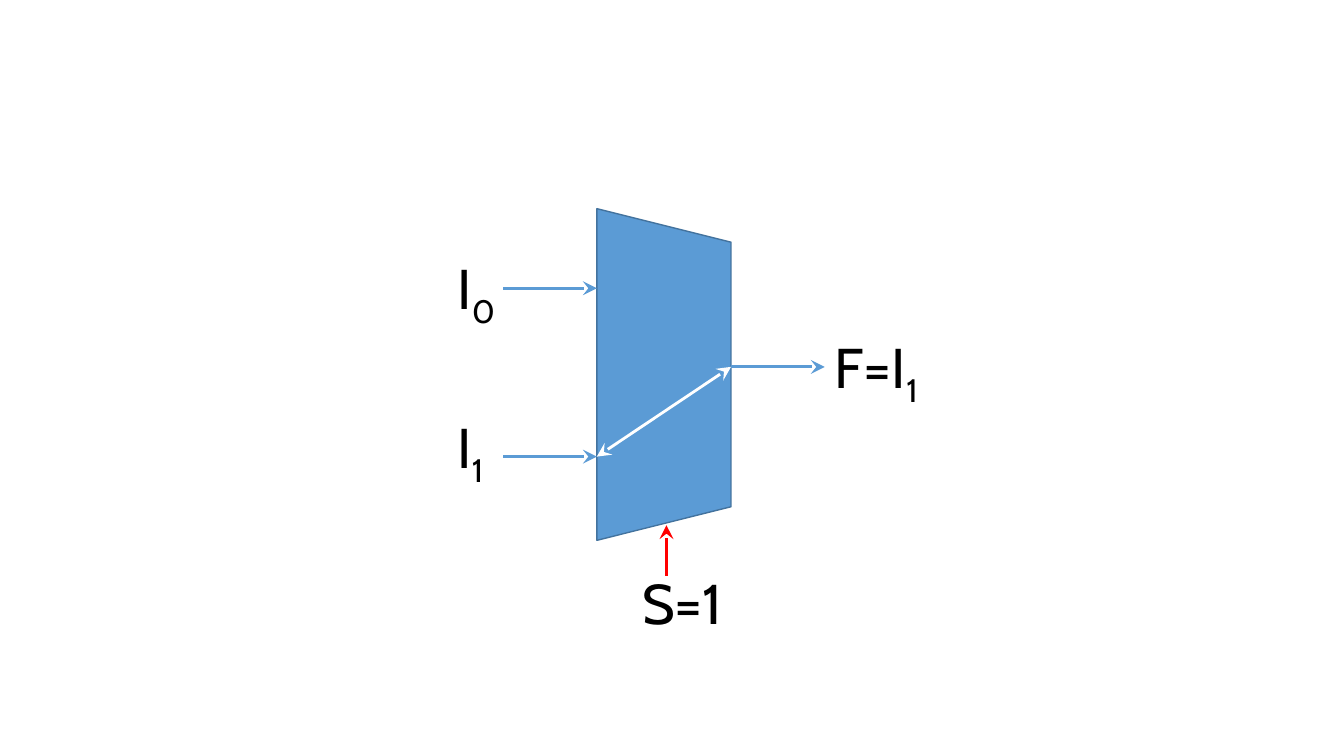
"""Draw a two-input multiplexer that passes input one."""
from dataclasses import dataclass

from lxml.etree import SubElement
from pptx import Presentation
from pptx.dml.color import RGBColor
from pptx.enum.shapes import MSO_CONNECTOR, MSO_SHAPE
from pptx.oxml.ns import qn
from pptx.util import Inches, Pt


@dataclass(frozen=True)
class Theme:
    """Colours, type and line sizes."""
    blue: RGBColor = RGBColor(0x5B, 0x9B, 0xD5)
    edge: RGBColor = RGBColor(0x43, 0x73, 0x9E)
    red: RGBColor = RGBColor(0xFF, 0x00, 0x00)
    white: RGBColor = RGBColor(0xFF, 0xFF, 0xFF)
    black: RGBColor = RGBColor(0x00, 0x00, 0x00)
    font: str = "Cabin"
    size: int = 40
    thin: int = 1
    thick: int = 2


THEME = Theme()


def style(item, values):
    """Set each attribute of the item from a dict."""
    for name, value in values.items():
        setattr(item, name, value)


def add_body(slide, left, top, width, height):
    """Add the multiplexer as a trapezoid turned to the right."""
    body = slide.shapes.add_shape(
        MSO_SHAPE.TRAPEZOID, *map(Inches, (left, top, width, height)))
    body.rotation = 90
    body.shadow.inherit = False
    body.fill.solid()
    body.fill.fore_color.rgb = THEME.blue
    body.line.color.rgb = THEME.edge
    body.line.width = Pt(THEME.thin)


def add_arrow(slide, start, end, color, ends=("tailEnd",)):
    """Add a straight arrow with large stealth heads at the given ends."""
    arrow = slide.shapes.add_connector(
        MSO_CONNECTOR.STRAIGHT, *map(Inches, (*start, *end)))
    arrow.line.color.rgb = color
    arrow.line.width = Pt(THEME.thick)
    line = arrow.line._get_or_add_ln()
    for tag in ends:
        SubElement(line, qn(f"a:{tag}"), type="stealth", w="lg", len="lg")
    SubElement(arrow._element.spPr, qn("a:effectLst"))


def add_label(slide, left, top, width, text, sub=""):
    """Add a signal name with an optional subscript on one line."""
    box = slide.shapes.add_textbox(
        *map(Inches, (left, top, width, 0.77)))
    style(box.text_frame, {"word_wrap": True, "margin_right": Inches(0)})
    para = box.text_frame.paragraphs[0]
    for part, base in ((text, 0), (sub, -25000)):
        if part:
            run = para.add_run()
            run.text = part
            style(run.font, {"name": THEME.font, "size": Pt(THEME.size)})
            run.font.color.rgb = THEME.black
            if base:
                run.font._element.set("baseline", str(base))


def main():
    """Build and save the slide."""
    deck = Presentation()
    style(deck, {"slide_width": Inches(13.33), "slide_height": Inches(7.5)})
    slide = deck.slides.add_slide(deck.slide_layouts[6])
    left, right, out, low = 5.92, 7.25, 3.64, 4.53

    add_body(slide, 4.94, 3.05, 3.29, 1.33)
    for sub, row, top in (("0", 2.86, 2.47), ("1", low, 4.04)):
        add_arrow(slide, (4.99, row), (left, row), THEME.blue)
        add_label(slide, 4.44, top, 0.55, "I", sub)
    add_arrow(slide, (right, out), (8.18, out), THEME.blue)
    add_label(slide, 8.18, 3.25, 1.21, "F=I", "1")
    add_arrow(slide, (6.61, 5.71), (6.61, 5.21), THEME.red)
    add_label(slide, 6.27, 5.59, 1.19, "S=1")
    add_arrow(slide, (left, low), (right, out), THEME.white,
              ("headEnd", "tailEnd"))
    deck.save("out.pptx")


if __name__ == "__main__":
    main()
